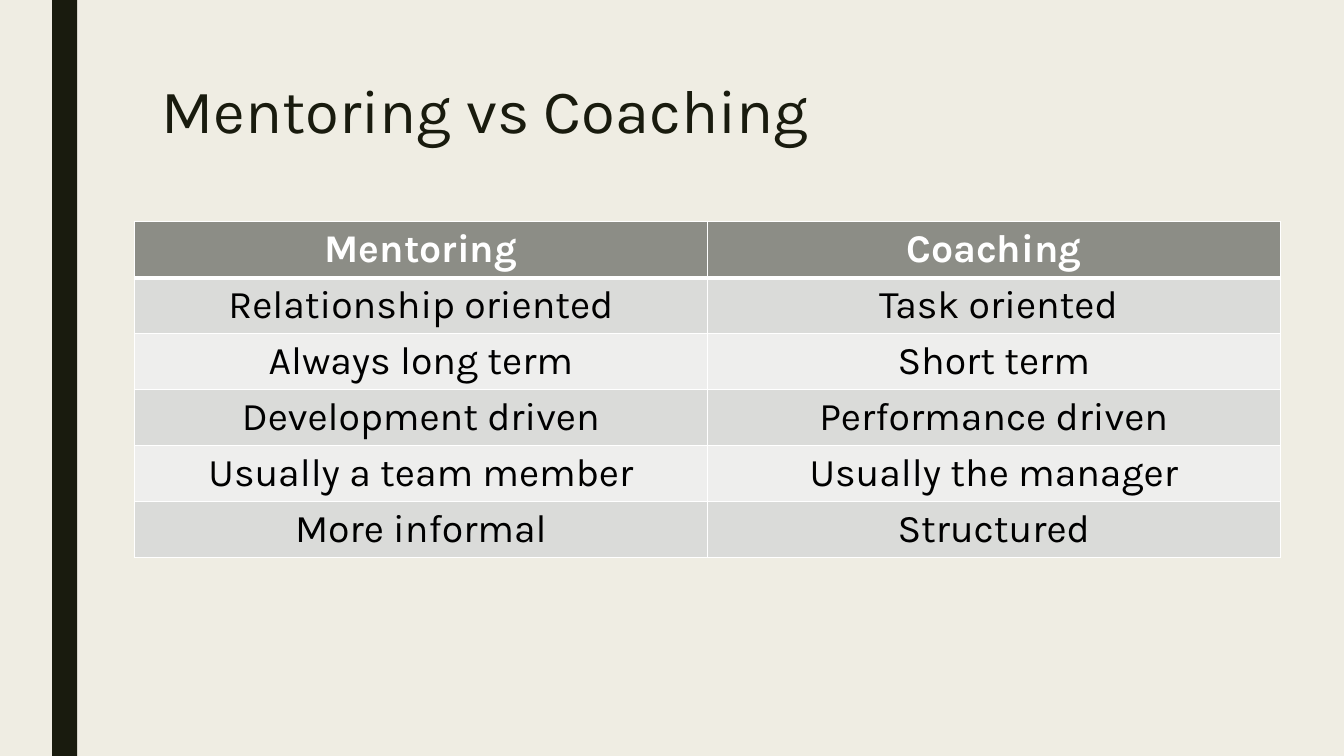
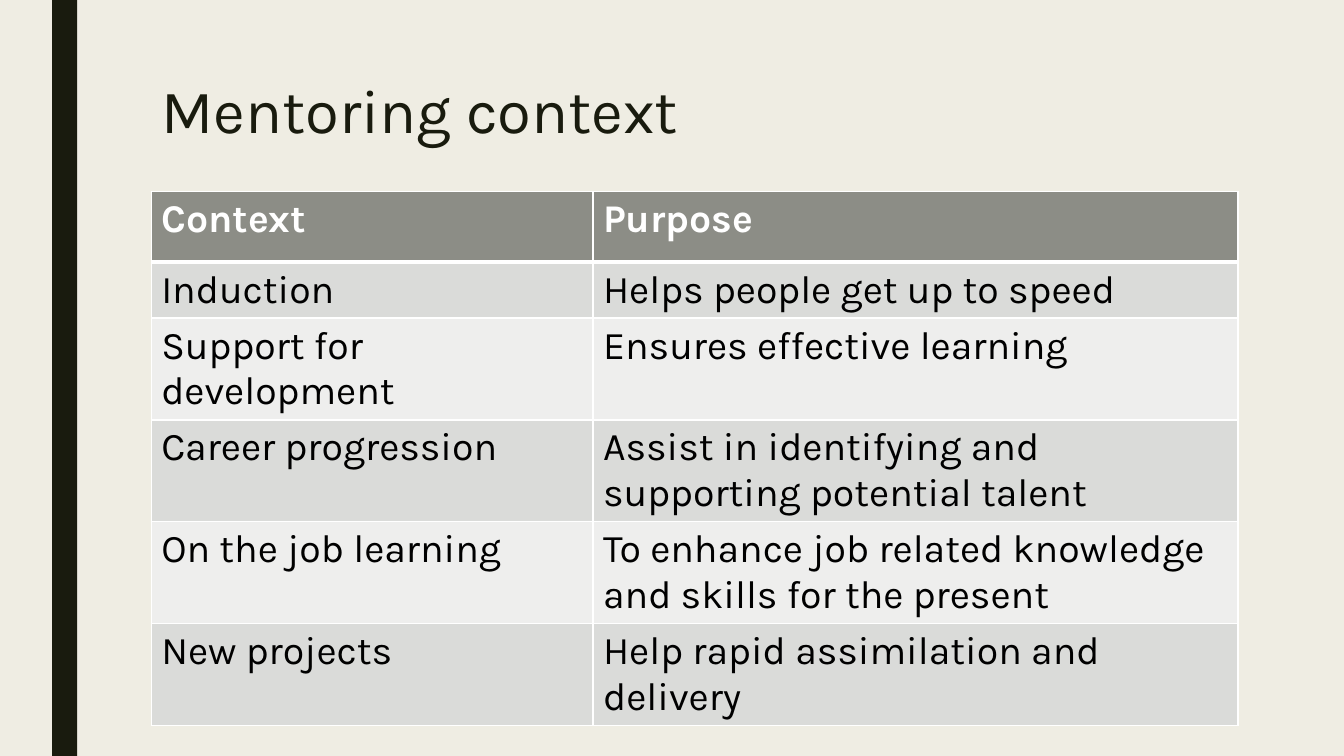
from lxml.etree import SubElement
from pptx import Presentation
from pptx.dml.color import RGBColor
from pptx.enum.shapes import MSO_SHAPE
from pptx.enum.text import MSO_ANCHOR, MSO_AUTO_SIZE, PP_ALIGN
from pptx.oxml.ns import qn
from pptx.util import Inches, Pt

INK = RGBColor(0x19, 0x1B, 0x0E)
PAPER = RGBColor(0xEF, 0xED, 0xE3)
HEADER = RGBColor(0x8C, 0x8D, 0x86)
BANDS = [RGBColor(0xEE, 0xEE, 0xED), RGBColor(0xDA, 0xDB, 0xD9)]
WHITE = RGBColor(0xFF, 0xFF, 0xFF)
BLACK = RGBColor(0x00, 0x00, 0x00)
FONT = "Karla"

deck = Presentation()
deck.slide_width = Inches(13.33)
deck.slide_height = Inches(7.5)
COLUMN = deck.slide_width / 80
ROW = deck.slide_height / 75


def place(left, top, width, height):
    return (round(left * COLUMN), round(top * ROW),
            round(width * COLUMN), round(height * ROW))


def write(frame, text, size, color, bold=False, align=PP_ALIGN.LEFT):
    para = frame.paragraphs[0]
    para.alignment = align
    span = para.add_run()
    span.text = text
    span.font.name = FONT
    span.font.size = Pt(size)
    span.font.bold = bold
    span.font.color.rgb = color
    return para


SLIDES = [
    {
        "title": "Mentoring vs Coaching",
        "left": 8, "top": 22, "columns": [34.1, 34.1], "header": 5.5,
        "align": PP_ALIGN.CENTER,
        "rows": [
            ("Mentoring", "Coaching"),
            ("Relationship oriented", " Task oriented"),
            ("Always long term", "Short term"),
            ("Development driven", "Performance driven"),
            ("Usually a team member", "Usually the manager"),
            ("More informal", "Structured"),
        ],
    },
    {
        "title": "Mentoring context",
        "left": 9, "top": 19, "columns": [26.3, 38.4], "header": 7,
        "align": PP_ALIGN.LEFT,
        "rows": [
            ("Context", "Purpose"),
            ("Induction", "Helps people get up to speed"),
            ("Support for development", "Ensures effective learning"),
            ("Career progression",
             "Assist in identifying and supporting potential talent"),
            ("On the job learning",
             "To enhance job related knowledge and skills for the present"),
            ("New projects", "Help rapid assimilation and delivery"),
        ],
    },
]

background = deck.slide_master.background.fill
background.solid()
background.fore_color.rgb = PAPER

for content in SLIDES:
    page = deck.slides.add_slide(deck.slide_layouts[5])

    bar = page.shapes.add_shape(MSO_SHAPE.RECTANGLE, *place(3.1, 0, 1.5, 75))
    bar.shadow.inherit = False
    bar.fill.solid()
    bar.fill.fore_color.rgb = INK
    bar.line.fill.background()

    title = page.shapes.title
    title.left, title.top, title.width, title.height = place(9, 7.5, 63, 16.2)
    title.text_frame.word_wrap = True
    title.text_frame.auto_size = MSO_AUTO_SIZE.NONE
    title.text_frame.vertical_anchor = MSO_ANCHOR.TOP
    write(title.text_frame, content["title"], 44, INK).line_spacing = 0.89

    rows = content["rows"]
    heights = [content["header"]] + [5.5] * (len(rows) - 1)
    box = place(content["left"], content["top"],
                sum(content["columns"]), sum(heights))
    table = page.shapes.add_table(len(rows), len(content["columns"]), *box).table
    table.horz_banding = False
    for column, width in zip(table.columns, content["columns"]):
        column.width = round(width * COLUMN)
    for row, height in zip(table.rows, heights):
        row.height = round(height * ROW)

    for row_index, texts in enumerate(rows):
        is_header = row_index == 0
        edges = {
            "a:lnL": 1,
            "a:lnR": 1,
            "a:lnT": 3 if row_index == 1 else 1,
            "a:lnB": 3 if is_header else 1,
        }
        for column_index, text in enumerate(texts):
            cell = table.cell(row_index, column_index)
            properties = cell._tc.get_or_add_tcPr()
            for edge, points in edges.items():
                line = SubElement(properties, qn(edge), w=str(Pt(points)))
                paint = SubElement(line, qn("a:solidFill"))
                SubElement(paint, qn("a:srgbClr"), val=str(WHITE))
            cell.fill.solid()
            cell.fill.fore_color.rgb = HEADER if is_header else BANDS[row_index % 2]
            write(cell.text_frame, text, 28, WHITE if is_header else BLACK,
                  is_header, content["align"])

deck.save("out.pptx")
